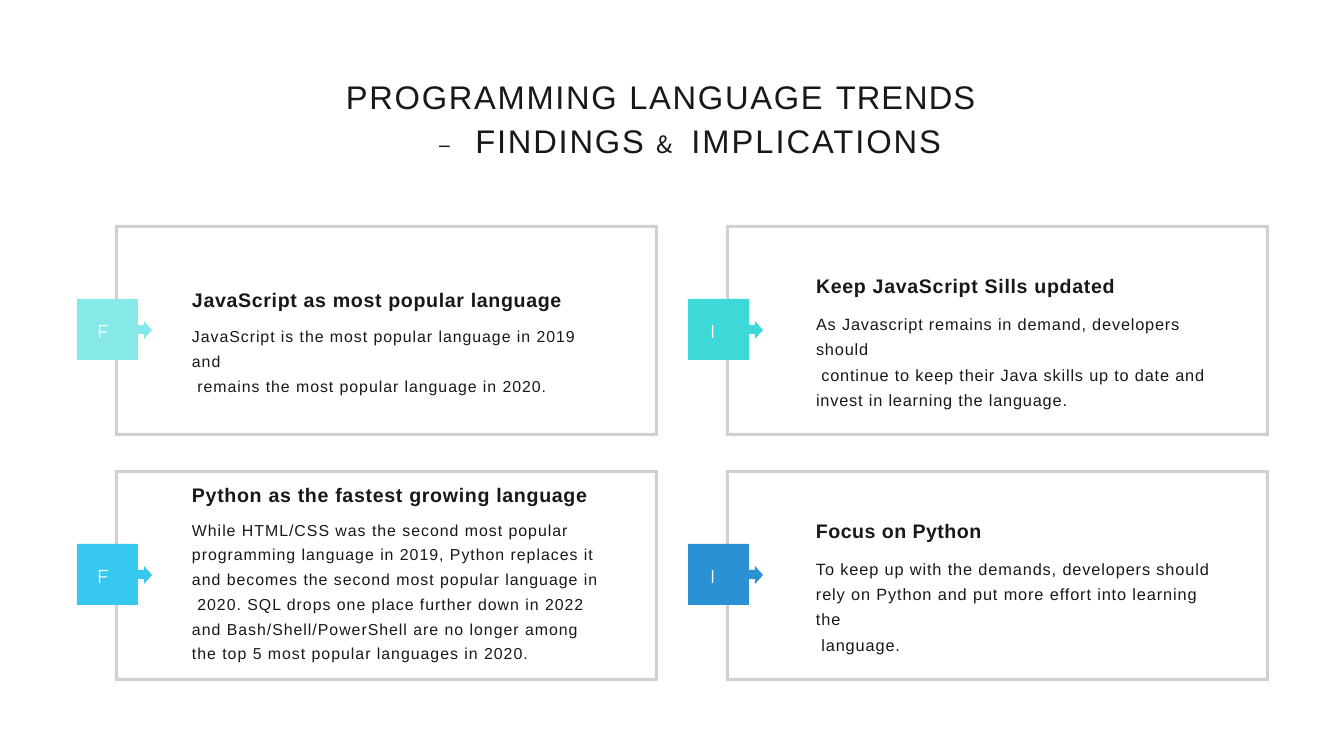
from pptx import Presentation
from pptx.dml.color import RGBColor
from pptx.enum.text import MSO_ANCHOR
from pptx.oxml.ns import qn
from pptx.util import Pt
from lxml.etree import SubElement

PX = 914400 / 67.2
INK = RGBColor(0x18, 0x18, 0x18)
WHITE = RGBColor(0xFF, 0xFF, 0xFF)
MINT = RGBColor(0x86, 0xE9, 0xE8)
TEAL = RGBColor(0x3D, 0xD9, 0xD8)
SKY = RGBColor(0x37, 0xC8, 0xEF)
BLUE = RGBColor(0x2B, 0x91, 0xD5)

CARD_W, CARD_H = 543, 211
LEFT, TOP = 115, 225
COL_STEP, ROW_STEP = 611, 245
EDGE = 3
BADGE_DX, BADGE_DY, BADGE = -38, 74, 61


def emu(px):
    """Turn pixels into EMU."""
    return round(px * PX)


def add_box(s, x, y, w, h, wrap=True):
    """Add a text box with only a small top inset and return its frame."""
    tf = s.shapes.add_textbox(emu(x), emu(y), emu(w), emu(h)).text_frame
    tf.margin_left = tf.margin_right = tf.margin_bottom = 0
    tf.margin_top = emu(1)
    tf.vertical_anchor = MSO_ANCHOR.TOP
    tf.word_wrap = wrap
    return tf


def add_run(p, text, size, spacing, color=INK, font="Arial", bold=False):
    """Add one run with its character spacing in points."""
    r = p.add_run()
    r.text = text
    r.font.size = Pt(size)
    r.font.name = font
    r.font.bold = bold
    r.font.color.rgb = color
    r._r.get_or_add_rPr().set("spc", str(round(spacing * 100)))


def add_outline(shapes, x, y, points, color):
    """Add a filled closed outline whose points are relative to x, y."""
    points = [(x + dx, y + dy) for dx, dy in points]
    builder = shapes.build_freeform(*points[0], scale=PX)
    builder.add_line_segments(points[1:], close=True)
    sp = builder.convert_to_shape()
    sp.shadow.inherit = False
    sp.fill.solid()
    sp.fill.fore_color.rgb = color
    sp.line.fill.background()
    return sp


def add_title(s, x, y, w, h):
    """Add the two-line title, its second line indented."""
    p = add_box(s, x, y, w, h).paragraphs[0]
    p.line_spacing = 1.11
    p.space_before = Pt(1)
    pPr = p._p.get_or_add_pPr()
    pPr.set("marL", str(emu(93)))
    pPr.set("indent", str(-emu(93)))
    add_run(p, "PROGRAMMING LANGUAGE ", 35, 1.8)
    add_run(p, "TRENDS", 35, 1.1)
    p.add_line_break()
    add_run(p, "– ", 25.5, 9.8, font="Noto Sans CJK JP")
    add_run(p, "FINDINGS ", 35, 1.9)
    add_run(p, "& ", 25.5, 7.1, font="Noto Sans CJK JP")
    add_run(p, "IMPLICATIONS", 35, 2.1)


def add_frame(s, x, y, color):
    """Add the pale frame, open behind the badge, with the arrow badge."""
    group = s.shapes.add_group_shape()
    right, bottom = CARD_W - EDGE, CARD_H - EDGE
    gap_top, gap_bottom = BADGE_DY, BADGE_DY + BADGE
    frame = add_outline(group.shapes, x, y, [
        (CARD_W, 0), (0, 0), (0, gap_top), (EDGE, gap_top), (EDGE, EDGE),
        (right, EDGE), (right, bottom), (EDGE, bottom), (EDGE, gap_bottom),
        (0, gap_bottom), (0, CARD_H), (CARD_W, CARD_H)], INK)
    rgb = frame.fill._xPr.find(qn("a:solidFill")).find(qn("a:srgbClr"))
    SubElement(rgb, qn("a:alpha")).set("val", "20000")
    add_outline(group.shapes, x + BADGE_DX, y + BADGE_DY, [
        (75, 31), (67, 22), (67, 26), (BADGE, 26), (BADGE, 0), (0, 0),
        (0, BADGE), (BADGE, BADGE), (BADGE, 35), (67, 35), (67, 40)], color)


def add_card(s, x, y, letter, color, text_box, heading, body):
    """Add one card: frame, badge letter, heading and body text."""
    add_frame(s, x, y, color)

    dx, dy, w, h = text_box
    tf = add_box(s, x + dx, y + dy, w, h)
    p = tf.paragraphs[0]
    p.space_before = Pt(1)
    text, spacing = heading
    add_run(p, text, 21, spacing, bold=True)

    lines, size, spacing, leading, before = body
    p = tf.add_paragraph()
    p.line_spacing = leading
    p.space_before = Pt(before)
    for i, line in enumerate(lines):
        if i:
            p.add_line_break()
        add_run(p, line, size, spacing)

    letter_dx, letter_w = (-18, 18) if letter == "F" else (-16, 10)
    p = add_box(s, x + letter_dx, y + 94, letter_w, 24, False).paragraphs[0]
    p.space_before = Pt(1.1)
    add_run(p, letter, 20, 1, WHITE, "Montserrat")


CARDS = [
    ("F", MINT, (77, 62, 413, 85), ("JavaScript as most popular language", 0.7),
     (["JavaScript is the most popular language in 2019 and",
       " remains the most popular language in 2020."], 17, 1.03, 1.32, 9.2)),
    ("I", TEAL, (90, 48, 418, 112), ("Keep JavaScript Sills updated", 0.75),
     (["As Javascript remains in demand, developers should",
       " continue to keep their Java skills up to date and",
       "invest in learning the language."], 17.5, 0.87, 1.29, 12)),
    ("F", SKY, (77, 12, 415, 185),
     ("Python as the fastest growing language", 0.74),
     (["While HTML/CSS was the second most popular",
       "programming language in 2019, Python replaces it",
       "and becomes the second most popular language in",
       " 2020. SQL drops one place further down in 2022",
       "and Bash/Shell/PowerShell are no longer among",
       "the top 5 most popular languages in 2020."], 17, 1.06, 1.3, 8.6)),
    ("I", BLUE, (90, 48, 407, 112), ("Focus on Python", 0.52),
     (["To keep up with the demands, developers should",
       "rely on Python and put more effort into learning the",
       " language."], 17.5, 0.93, 1.29, 11.8)),
]

prs = Presentation()
prs.slide_width, prs.slide_height = emu(1344), emu(756)
s = prs.slides.add_slide(prs.slide_layouts[6])
add_title(s, 346, 72, 653, 89)
for i, card in enumerate(CARDS):
    row, col = divmod(i, 2)
    add_card(s, LEFT + col * COL_STEP, TOP + row * ROW_STEP, *card)
prs.save("out.pptx")
